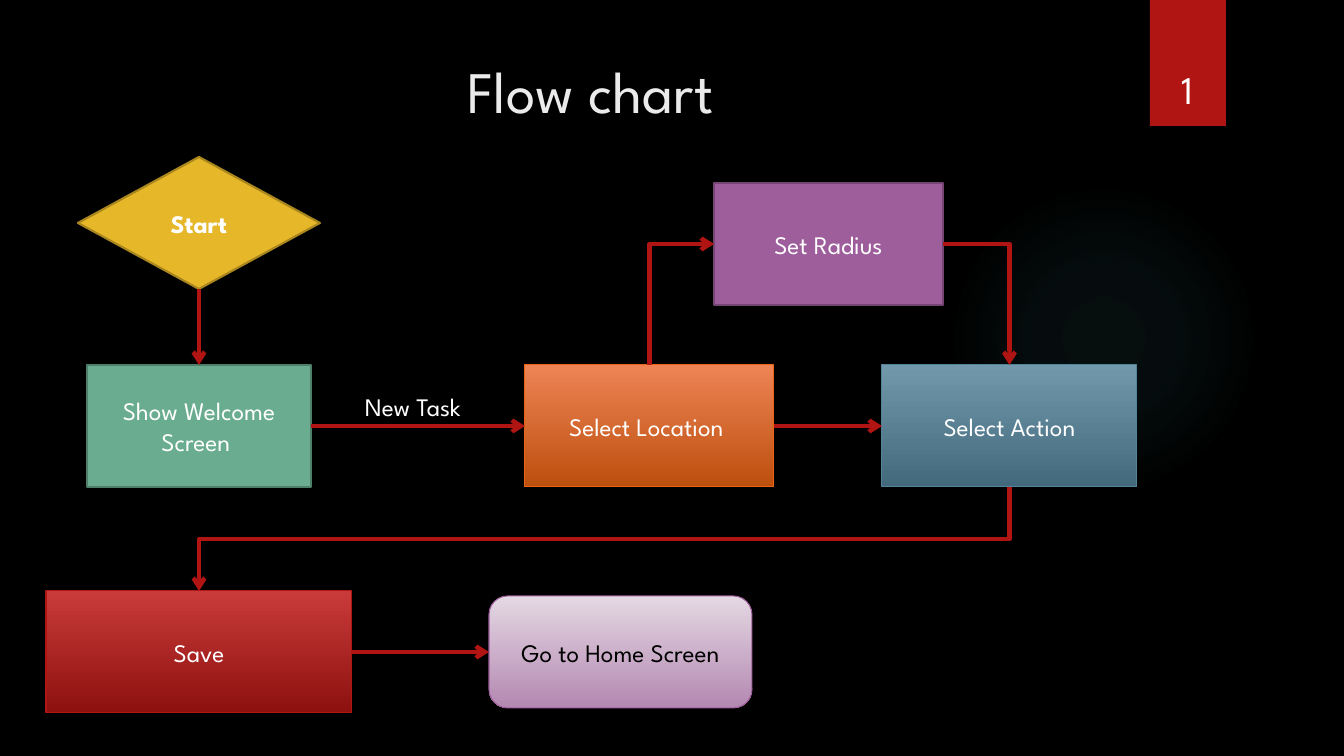
from lxml import etree
from pptx import Presentation
from pptx.dml.color import RGBColor
from pptx.enum.shapes import MSO_CONNECTOR, MSO_SHAPE
from pptx.enum.text import MSO_ANCHOR, PP_ALIGN
from pptx.oxml.ns import qn
from pptx.util import Emu, Pt

RECT, ROUNDED = MSO_SHAPE.RECTANGLE, MSO_SHAPE.ROUNDED_RECTANGLE
DECISION, OVAL = MSO_SHAPE.FLOWCHART_DECISION, MSO_SHAPE.OVAL
STRAIGHT, ELBOW = MSO_CONNECTOR.STRAIGHT, MSO_CONNECTOR.ELBOW
CENTER, LEFT = PP_ALIGN.CENTER, PP_ALIGN.LEFT
TOP, MIDDLE, BOTTOM = MSO_ANCHOR.TOP, MSO_ANCHOR.MIDDLE, MSO_ANCHOR.BOTTOM
TOP_SITE, LEFT_SITE, BOTTOM_SITE, RIGHT_SITE = range(4)

FONT = "League Spartan"
RED, WHITE, BLACK = "B01513", "FFFFFF", "000000"
PX = 914400 / 100.8

# Steps: text, shape, box, fill colours, line colour, line width
STEPS = {
    "start": ("Start", DECISION, (78, 157, 242, 132), ["E6B729"], "AA871E", 1.5),
    "welcome": ("Show Welcome Screen ", RECT, (87, 365, 224, 122), ["6AAC90"], "4E7F6B", 1.5),
    "location": ("Select Location ", RECT, (525, 365, 249, 122), ["EE8455", "BC4F0E"], "EA6312", 0.75),
    "action": ("Select Action", RECT, (882, 365, 255, 122), ["7198AB", "436A7C"], "54849A", 0.75),
    "save": ("Save", RECT, (46, 591, 306, 122), ["C93B3A", "8D110F"], RED, 0.75),
    "home": ("Go to Home Screen", ROUNDED, (489, 596, 263, 112), ["E4D8E3", "B488B2"], "9E5E9B", 0.75),
    "radius": ("Set Radius", RECT, (714, 183, 229, 122), ["9E5E9B"], "754673", 1.5),
}

# Flows: from, site, to, site, and for bent ones (preset, rotation, flipped)
FLOWS = [
    ("start", BOTTOM_SITE, "welcome", TOP_SITE, None),
    ("welcome", RIGHT_SITE, "location", LEFT_SITE, None),
    ("location", RIGHT_SITE, "action", LEFT_SITE, None),
    ("save", RIGHT_SITE, "home", LEFT_SITE, None),
    ("action", BOTTOM_SITE, "save", TOP_SITE, ("bentConnector3", 90, False)),
    ("location", TOP_SITE, "radius", LEFT_SITE, ("bentConnector2", 90, True)),
    ("radius", RIGHT_SITE, "action", TOP_SITE, ("bentConnector2", 0, False)),
]


def px(*lengths):
    return [Emu(round(length * PX)) for length in lengths]


def rgb(color):
    return RGBColor.from_string(color)


def write(shape, text, size, color, align=CENTER, anchor=MIDDLE, bold=False, wrap=True):
    frame = shape.text_frame
    frame.text = text
    frame.word_wrap = wrap
    frame.vertical_anchor = anchor
    paragraph = frame.paragraphs[0]
    paragraph.alignment = align
    font = paragraph.runs[0].font
    font.name, font.size, font.bold = FONT, Pt(size), bold
    font.color.rgb = rgb(color)


def fill_gradient(shape, stops, radial=False):
    """Stops are (position %, colour, opacity %)."""
    shape.fill.gradient()
    gradient = shape._element.spPr.find(qn("a:gradFill"))
    for child in list(gradient):
        gradient.remove(child)
    stop_list = etree.SubElement(gradient, qn("a:gsLst"))
    for position, color, opacity in stops:
        stop = etree.SubElement(stop_list, qn("a:gs"), pos=str(position * 1000))
        tint = etree.SubElement(stop, qn("a:srgbClr"), val=color)
        etree.SubElement(tint, qn("a:alpha"), val=str(opacity * 1000))
    if radial:
        focus = etree.SubElement(gradient, qn("a:path"), path="circle")
        etree.SubElement(focus, qn("a:fillToRect"), dict.fromkeys("ltrb", "50000"))
    else:
        etree.SubElement(gradient, qn("a:lin"), ang="5400000", scaled="0")


def add_box(kind, box, colors, line=None, width=0):
    shape = slide.shapes.add_shape(kind, *px(*box))
    shape.shadow.inherit = False
    if len(colors) == 1:
        shape.fill.solid()
        shape.fill.fore_color.rgb = rgb(colors[0])
    else:
        fill_gradient(shape, [(0, colors[0], 100), (100, colors[1], 100)])
    if line:
        shape.line.color.rgb = rgb(line)
        shape.line.width = Pt(width)
    else:
        shape.line.fill.background()
    return shape


def bend(connector, preset, rotation, flipped):
    """Lay the bent preset between the two ends it is glued to."""
    x1, y1, x2, y2 = connector.begin_x, connector.begin_y, connector.end_x, connector.end_y
    width, height = abs(x2 - x1), abs(y2 - y1)
    if rotation:
        width, height = height, width
    connector.left, connector.top = (x1 + x2 - width) // 2, (y1 + y2 - height) // 2
    connector.width, connector.height = width, height
    connector.rotation = rotation
    properties = connector._element.spPr
    for flip in ("flipH", "flipV"):
        properties.find(qn("a:xfrm")).set(flip, str(int(flipped)))
    properties.find(qn("a:prstGeom")).set("prst", preset)


def add_flow(source, source_site, target, target_site, bent):
    connector = slide.shapes.add_connector(ELBOW if bent else STRAIGHT, 0, 0, 0, 0)
    connector.begin_connect(boxes[source], source_site)
    connector.end_connect(boxes[target], target_site)
    if bent:
        bend(connector, *bent)
    connector.line.color.rgb = rgb(RED)
    connector.line.width = Pt(3)
    etree.SubElement(connector.line._get_or_add_ln(), qn("a:tailEnd"), type="arrow")
    etree.SubElement(connector._element.spPr, qn("a:effectLst"))


def add_text(box, *args, **options):
    write(slide.shapes.add_textbox(*px(*box)), *args, **options)


presentation = Presentation()
presentation.slide_width, presentation.slide_height = px(1344, 756)
slide = presentation.slides.add_slide(presentation.slide_layouts[5])
slide.background.fill.solid()
slide.background.fill.fore_color.rgb = rgb(BLACK)

# Backdrop glow and page number tab
glow = add_box(OVAL, (949, 184, 310, 310), [BLACK])
fill_gradient(glow, [(0, "50B9C1", 7), (36, "50B9C1", 6), (69, "50B9C1", 0)], radial=True)
add_box(RECT, (1150, 0, 76, 126), [RED])
add_text((1141, 32, 93, 85), "1", 28, WHITE, anchor=BOTTOM)

# Title
title = slide.shapes.title
title.left, title.top, title.width, title.height = px(72, 50, 1037, 154)
write(title, "Flow chart", 42, "EBEBEB", anchor=TOP)

# Steps and the flows between them
boxes = {}
for step, (text, kind, box, colors, line, width) in STEPS.items():
    boxes[step] = add_box(kind, box, colors, line, width)
    write(boxes[step], text, 18, BLACK if step == "home" else WHITE, bold=step == "start")
for flow in FLOWS:
    add_flow(*flow)
add_text((355, 386, 135, 40), "New Task", 18, WHITE, align=LEFT, anchor=TOP, wrap=False)

presentation.save("out.pptx")
